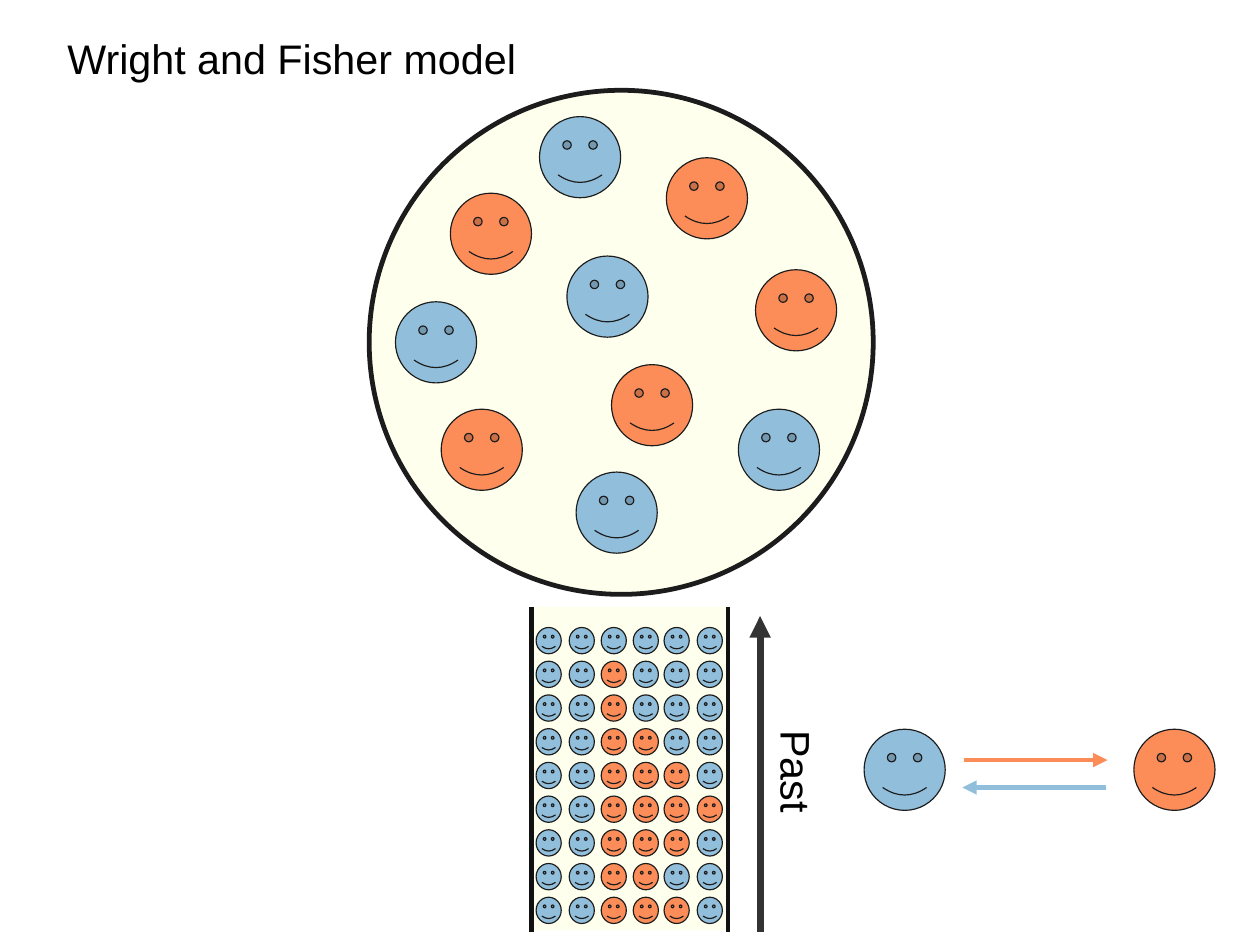
from dataclasses import dataclass

from lxml import etree
from pptx import Presentation
from pptx.dml.color import RGBColor
from pptx.enum.shapes import MSO_CONNECTOR, MSO_SHAPE
from pptx.enum.text import MSO_AUTO_SIZE, PP_ALIGN
from pptx.oxml.ns import qn
from pptx.util import Inches, Pt

ELLIPSE = MSO_SHAPE.OVAL
RECTANGLE = MSO_SHAPE.RECTANGLE
SMILEY = MSO_SHAPE.SMILEY_FACE
STRAIGHT = MSO_CONNECTOR.STRAIGHT
GROW = MSO_AUTO_SIZE.SHAPE_TO_FIT_TEXT
LEFT, CENTER = PP_ALIGN.LEFT, PP_ALIGN.CENTER

# The page measures 28 by 21 centimetres
PAGE_WIDTH, PAGE_HEIGHT = 28 / 2.54, 21 / 2.54
COLORS = {
    "blue": "91BFDB",
    "orange": "FC8D59",
    "cream": "FFFFBF",
    "outline": "1C1C1C",
    "wall": "111111",
    "time": "333333",
    "text": "000000",
}
FONT = "Arial"
TEXT_SIZE = 26
CREAM_OPACITY = 26
FACE_SIZE = 0.71
SMILE = 0.093


@dataclass
class Face:
    left: float
    top: float
    color: str
    width: float = FACE_SIZE
    height: float = FACE_SIZE


@dataclass
class Line:
    start: tuple[float, float]
    end: tuple[float, float]
    color: str
    width: float = 3
    arrow: bool = False


@dataclass
class Label:
    text: str
    left: float
    top: float
    width: float
    height: float
    align: PP_ALIGN = LEFT
    rotation: float = 0


POPULATION = [
    Face(3.94, 1.69, "orange"),
    Face(5.35, 3.19, "orange"),
    Face(5.83, 1.38, "orange"),
    Face(6.61, 2.36, "orange"),
    Face(4.72, 1.02, "blue"),
    Face(3.86, 3.58, "orange"),
    Face(6.46, 3.58, "blue"),
    Face(3.46, 2.64, "blue"),
    Face(4.96, 2.24, "blue"),
    Face(5.04, 4.13, "blue"),
]
MUTATION_FACES = [Face(7.56, 6.38, "blue"), Face(9.92, 6.38, "orange")]

# One string per generation, one letter per individual
GENERATIONS = [
    "bbbbbb",
    "bbobbb",
    "bbobbb",
    "bboobb",
    "bbooob",
    "bboooo",
    "bbooob",
    "bboobb",
    "bbooob",
]
ALLELES = {"b": "blue", "o": "orange"}
COLUMN_LEFTS = [4.69, 4.98, 5.26, 5.54, 5.81, 6.1]
FIRST_GENERATION, LAST_GENERATION = 5.49, 7.85
GENERATION_STEP = (LAST_GENERATION - FIRST_GENERATION) / (len(GENERATIONS) - 1)

LINES = [
    Line((8.43, 6.65), (9.69, 6.65), "orange", arrow=True),
    Line((9.68, 6.89), (8.42, 6.89), "blue", arrow=True),
    Line((4.65, 5.31), (4.65, 8.15), "wall"),
    Line((6.37, 5.31), (6.37, 8.15), "wall"),
    Line((6.65, 8.15), (6.65, 5.39), "time", width=4.5, arrow=True),
]
LABELS = [
    Label("Past", 6.52, 6.51, 0.94, 0.5, rotation=90),
    Label("Wright and Fisher model", 0.36, 0.24, 4.39, 0.59, align=CENTER),
]


def rgb(name: str) -> RGBColor:
    return RGBColor.from_string(COLORS[name])


def add_filled(page, kind, left: float, top: float, width: float, height: float,
               color: str, line_width: float | None = None):
    """Add a preset shape; without a line width it has no outline."""
    shape = page.shapes.add_shape(
        kind, Inches(left), Inches(top), Inches(width), Inches(height))
    shape.shadow.inherit = False
    shape.fill.solid()
    shape.fill.fore_color.rgb = rgb(color)
    if line_width is None:
        shape.line.fill.background()
    else:
        shape.line.color.rgb = rgb("outline")
        shape.line.width = Pt(line_width)
    return shape


def make_translucent(shape) -> None:
    color = shape.fill._xPr.find(qn("a:solidFill"))[0]
    etree.SubElement(color, qn("a:alpha"), val=str(CREAM_OPACITY * 1000))


def add_face(page, face: Face) -> None:
    shape = add_filled(page, SMILEY, face.left, face.top, face.width, face.height,
                       face.color, line_width=0)
    shape.adjustments[0] = SMILE


def add_line(page, line: Line) -> None:
    ends = [Inches(value) for value in (*line.start, *line.end)]
    connector = page.shapes.add_connector(STRAIGHT, *ends)
    connector.line.color.rgb = rgb(line.color)
    connector.line.width = Pt(line.width)
    if line.arrow:
        etree.SubElement(connector.line._get_or_add_ln(), qn("a:tailEnd"), type="triangle")
    etree.SubElement(connector._element.spPr, qn("a:effectLst"))


def add_label(page, label: Label) -> None:
    box = page.shapes.add_textbox(
        Inches(label.left), Inches(label.top), Inches(label.width), Inches(label.height))
    box.rotation = label.rotation
    box.text_frame.word_wrap = False
    box.text_frame.auto_size = GROW
    para = box.text_frame.paragraphs[0]
    para.alignment = label.align
    span = para.add_run()
    span.text = label.text
    span.font.name = FONT
    span.font.size = Pt(TEXT_SIZE)
    span.font.color.rgb = rgb("text")


def generation_faces() -> list[Face]:
    return [
        Face(left, FIRST_GENERATION + row * GENERATION_STEP, ALLELES[allele], 0.22, 0.23)
        for row, generation in enumerate(GENERATIONS)
        for left, allele in zip(COLUMN_LEFTS, generation)
    ]


def main() -> None:
    deck = Presentation()
    deck.slide_width, deck.slide_height = Inches(PAGE_WIDTH), Inches(PAGE_HEIGHT)
    page = deck.slides.add_slide(deck.slide_layouts[6])

    make_translucent(add_filled(page, ELLIPSE, 3.23, 0.79, 4.41, 4.41, "cream", line_width=3))
    make_translucent(add_filled(page, RECTANGLE, 4.64, 5.31, 1.73, 2.83, "cream"))
    for line in LINES:
        add_line(page, line)
    for face in POPULATION + MUTATION_FACES + generation_faces():
        add_face(page, face)
    for label in LABELS:
        add_label(page, label)

    deck.save("out.pptx")


if __name__ == "__main__":
    main()
